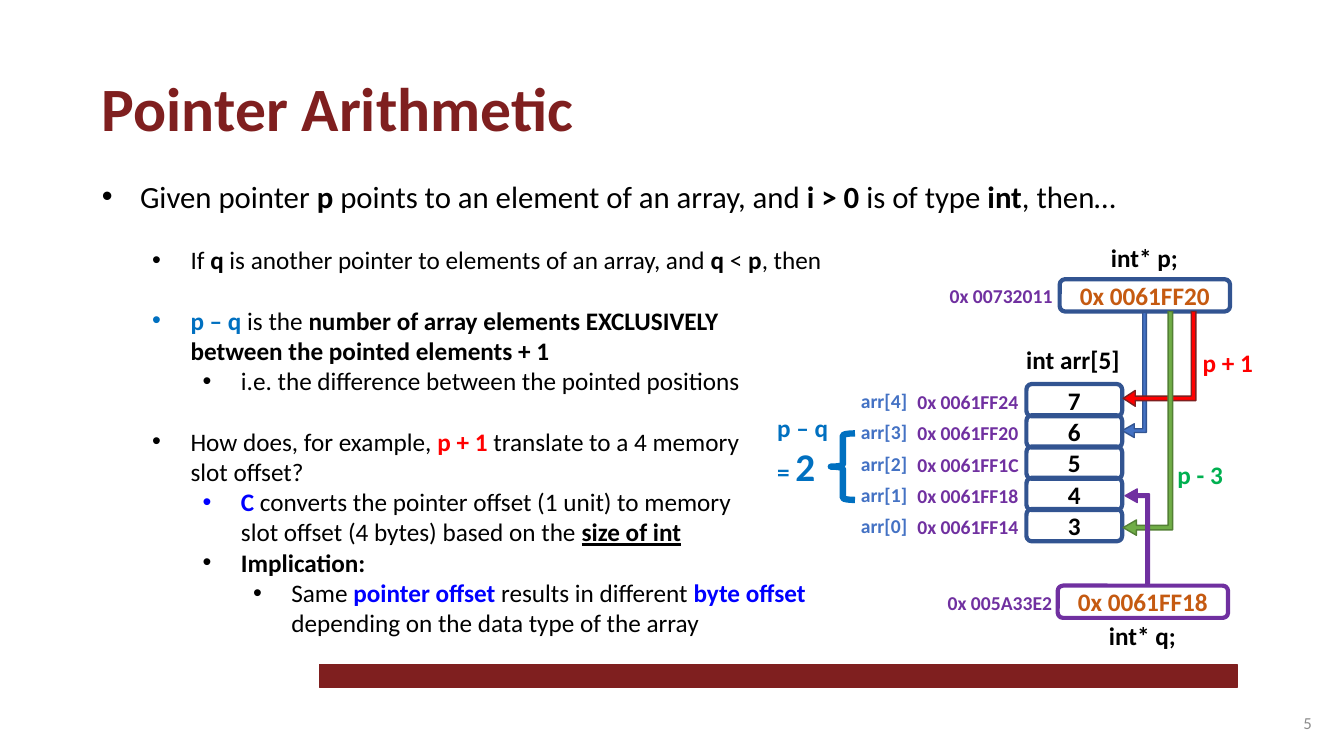
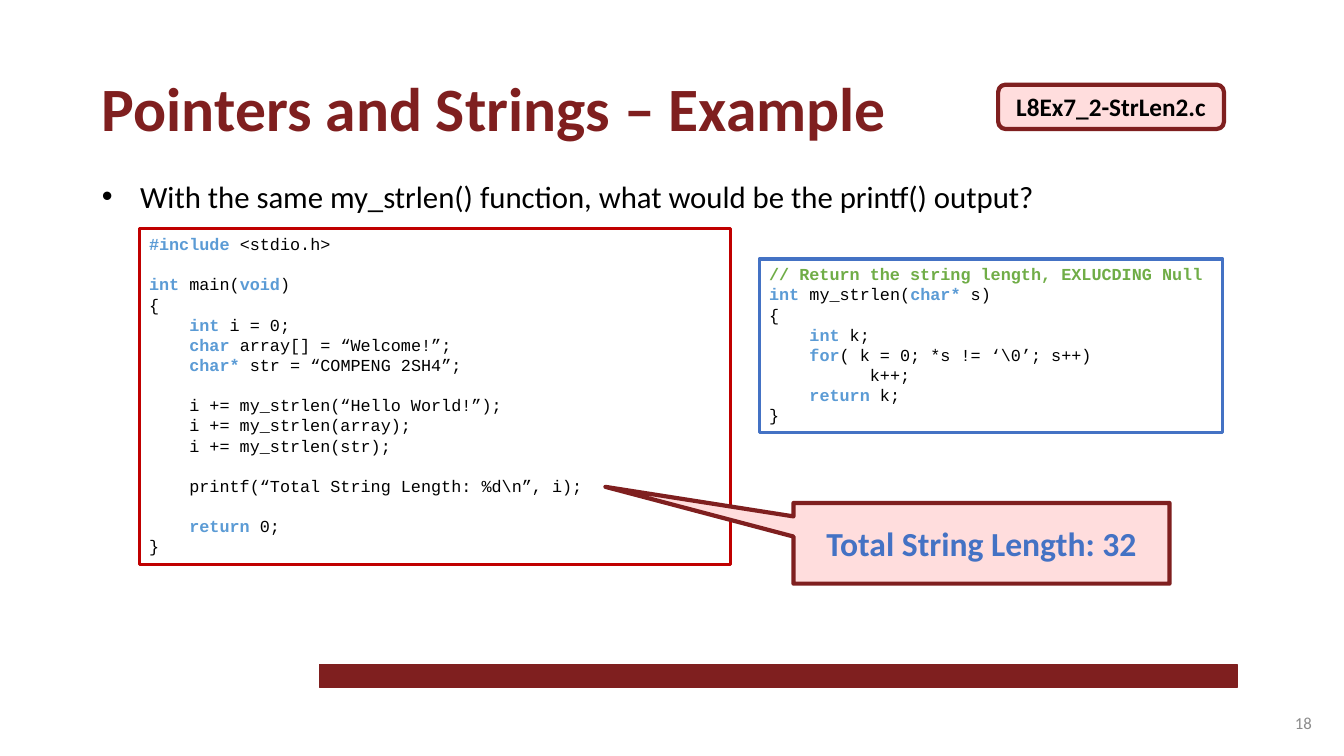
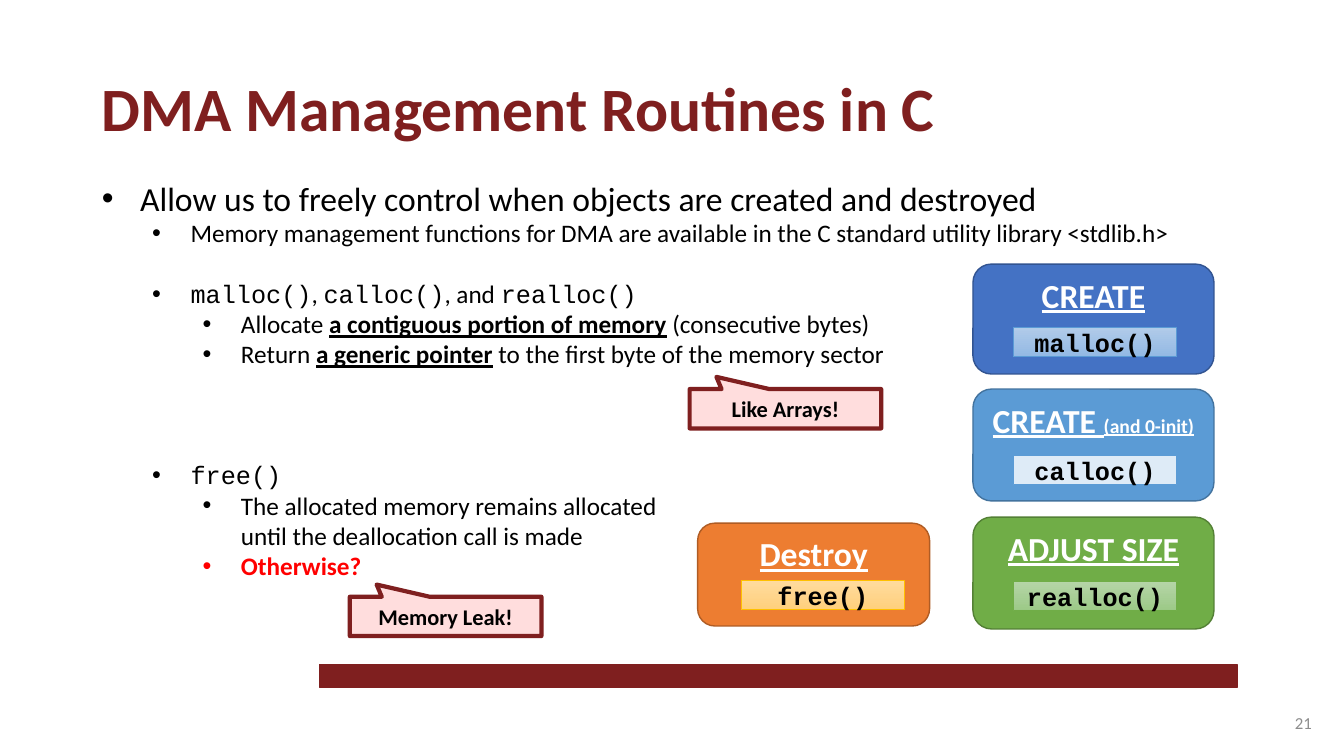
"""Builds three slides of a C lecture on pointers, strings and memory."""
import copy

import pptx
import pptx.dml.color
import pptx.enum.shapes
import pptx.enum.text
import pptx.oxml
import pptx.oxml.ns
import pptx.util

Inches = pptx.util.Inches
Pt = pptx.util.Pt
KIND = pptx.enum.shapes.MSO_SHAPE
ALIGN = pptx.enum.text.PP_ALIGN
ANCHOR = pptx.enum.text.MSO_ANCHOR

HUES = {
    "ink": "000000", "white": "FFFFFF", "wine": "7F1F1F", "blush": "FFDDDD",
    "grey": "8C8C8C", "red": "FF0000", "crimson": "C00000", "pure": "0000FF",
    "azure": "0070C0", "blue": "4472C4", "navy": "325491", "sky": "5B9BD5",
    "steel": "43739E", "ice": "DEEBF7", "green": "70AD47", "forest": "538035",
    "leaf": "00B050", "purple": "7030A0", "rust": "C55A11", "orange": "ED7D31",
    "brown": "AF5C24", "gold": "FFC000", "sky top": "B1CBE9", "sky end": "93B9E4",
    "green top": "B5D5A7", "green end": "9CC987", "gold top": "FFDB9E", "gold end": "FFD07C",
}
SANS, MONO = "Calibri", "Courier New"
BOLD = {"bold": True}
UNDER = {"bold": True, "line": True}
CODE = {"face": MONO}
KEY = {"bold": True, "hue": "sky"}
PURE = {"bold": True, "hue": "pure"}
ROW = 21.6
CODE_ROW = 14.4


def tint(name):
    return pptx.dml.color.RGBColor.from_string(HUES[name])


def write(para, parts, **base):
    for part in parts:
        text, mods = (part, {}) if isinstance(part, str) else part
        style = {"size": 18, "hue": "ink", "bold": False, "face": SANS, "line": False} | base | mods
        for count, piece in enumerate(text.split("\n")):
            if count:
                para.add_line_break()
                para._p[-1].append(copy.deepcopy(run._r.rPr))
            if piece:
                run = para.add_run()
                run.text = piece
                font = run.font
                font.name, font.size = style["face"], Pt(style["size"])
                font.bold, font.underline = style["bold"], style["line"]
                font.color.rgb = tint(style["hue"])


def indent(para, left, hang=0):
    props = para._p.get_or_add_pPr()
    props.set("marL", str(Inches(left)))
    props.set("indent", str(Inches(-hang)))
    return props


def setup(shape, anchor):
    frame = shape.text_frame
    frame.word_wrap = True
    frame.auto_size = pptx.enum.text.MSO_AUTO_SIZE.NONE
    frame.vertical_anchor = anchor
    return frame


def move(shape, box):
    shape.left, shape.top, shape.width, shape.height = map(Inches, box)


def draw(slide, kind, box, fill=None, edge="wine", width=1, adjust=()):
    shape = slide.shapes.add_shape(kind, *map(Inches, box))
    shape.shadow.inherit = False
    if fill is None:
        shape.fill.background()
    elif isinstance(fill, tuple):
        shape.fill.gradient()
        shape.fill.gradient_angle = 270
        for stop, name in zip(shape.fill.gradient_stops, fill):
            stop.color.rgb = tint(name)
    else:
        shape.fill.solid()
        shape.fill.fore_color.rgb = tint(fill)
    shape.line.color.rgb = tint(edge)
    shape.line.width = Pt(width)
    for index, value in enumerate(adjust):
        shape.adjustments[index] = value
    return shape


def fill_in(shape, parts, anchor=ANCHOR.MIDDLE, **style):
    para = setup(shape, anchor).paragraphs[0]
    para.alignment = ALIGN.CENTER
    write(para, parts, **({"bold": True} | style))


def label(slide, box, *lines, anchor=ANCHOR.TOP, align=ALIGN.LEFT, **style):
    frame = setup(slide.shapes.add_textbox(*map(Inches, box)), anchor)
    for index, parts in enumerate(lines):
        para = frame.add_paragraph() if index else frame.paragraphs[0]
        para.alignment = align
        write(para, parts, **({"bold": True} | style))


def start(deck, title, number, items, head=22):
    """Adds a slide with title, list of (level, gap, parts), band and number."""
    slide = deck.slides.add_slide(deck.slide_layouts[1])
    name, body = slide.placeholders
    move(name, (0.91, 0.64, 10.9, 0.84))
    para = setup(name, ANCHOR.TOP).paragraphs[0]
    para.alignment = ALIGN.LEFT
    write(para, [title], size=44, hue="wine", bold=True)
    move(body, (0.91, 1.71, 11.4, 4.71))
    frame = setup(body, ANCHOR.TOP)
    for index, (level, gap, parts) in enumerate(items):
        para = frame.add_paragraph() if index else frame.paragraphs[0]
        para.level = level
        para.space_before = Pt(gap)
        props = indent(para, 0.38 + 0.5 * level, 0.38)
        for tag, key, value in (("buFont", "typeface", "Arial"), ("buChar", "char", "•")):
            mark = pptx.oxml.parse_xml(f'<a:{tag} {pptx.oxml.ns.nsdecls("a")}/>')
            mark.set(key, value)
            props.append(mark)
        write(para, parts, size=18 if level else head)
    draw(slide, KIND.RECTANGLE, (3.17, 6.59, 9.1, 0.23), "wine")
    label(slide, (10.11, 6.97, 3, 0.4), [number], anchor=ANCHOR.MIDDLE,
          align=ALIGN.RIGHT, size=12, hue="grey", bold=False)
    return slide


def array(slide, left, top):
    """Draws the cells of the array with their names and addresses."""
    label(slide, (left - 0.1, top - 0.44, 1.5, 0.4), ["int arr[5]"])
    for index, (value, end) in enumerate(zip("76543", ("24", "20", "1C", "18", "14"))):
        y = top + 0.31 * index
        cell = draw(slide, KIND.ROUNDED_RECTANGLE, (left, y, 0.95, 0.32), None, "navy", 3)
        fill_in(cell, [value])
        label(slide, (left - 1.18, y + 0.01, 1.3, 0.34), ["0x 0061FF" + end], size=14, hue="purple")
        label(slide, (left - 1.74, y, 0.8, 0.34), [f"arr[{4 - index}]"], size=14, hue="blue")


def pointer(slide, left, top, name, value, place, edge, shift):
    """Draws a pointer variable, its address at the left and its name."""
    cell = draw(slide, KIND.ROUNDED_RECTANGLE, (left, top, 1.69, 0.32), None, edge, 3)
    fill_in(cell, [value], hue="rust")
    label(slide, (left - 1.19, top, 1.3, 0.34), [place], size=14, hue="purple")
    label(slide, (left + 0.41, top + shift, 1.5, 0.4), [name])


def hook(slide, box, fill, edge, adjust, flip=True):
    """Draws a bent arrow, turned to point left, in the box it covers."""
    left, top, wide, high = box
    turned = (left + (wide - high) / 2, top + (high - wide) / 2, high, wide)
    arrow = draw(slide, KIND.BENT_UP_ARROW, turned, fill, edge, 1, adjust)
    arrow.rotation = 270
    if flip:
        arrow.element.spPr.xfrm.set("flipH", "1")


def listing(slide, box, edge, lines):
    """Draws a framed code listing from (indent, gap, parts) lines."""
    frame = setup(draw(slide, KIND.RECTANGLE, box, "white", edge, 2.25), ANCHOR.TOP)
    for index, (depth, gap, parts) in enumerate(lines):
        para = frame.add_paragraph() if index else frame.paragraphs[0]
        para.alignment = ALIGN.LEFT
        para.space_before = Pt(gap)
        indent(para, depth)
        write(para, parts, size=12, face=MONO)


def callout(slide, box, text, adjust, **style):
    """Draws a speech box with a pointed tail."""
    shape = draw(slide, KIND.RECTANGULAR_CALLOUT, box, "blush", "wine", 3, adjust)
    fill_in(shape, [text], **style)


def card(slide, box, fill, edge, head, call, inset, tag, rim):
    """Draws a rounded card with a heading and a function tag."""
    shape = draw(slide, KIND.ROUNDED_RECTANGLE, box, fill, edge)
    fill_in(shape, head, ANCHOR.TOP, size=24, hue="white", line=True)
    spot = (box[0] + inset[0], box[1] + inset[1], 1.62, 0.29)
    fill_in(draw(slide, KIND.RECTANGLE, spot, tag, rim, 0.5), [call], face=MONO)


def sums(deck):
    """Builds the slide on pointer arithmetic."""
    slide = start(deck, "Pointer Arithmetic", "5", [
        (0, 0, ["Given pointer ", ("p", BOLD), " points to an element of an array, and ",
                ("i > 0", BOLD), " is of type ", ("int", BOLD), ", then…"]),
        (1, ROW, ["If ", ("q", BOLD), " is another pointer to elements of an array, and ",
                  ("q", BOLD), " < ", ("p", BOLD), ", then"]),
        (1, ROW, [("p – q", {"bold": True, "hue": "azure"}), " is the ",
                  ("number of array elements EXCLUSIVELY\nbetween the pointed elements + 1", BOLD)]),
        (2, 0, ["i.e. the difference between the pointed positions"]),
        (1, ROW, ["How does, for example, ", ("p + 1 ", {"bold": True, "hue": "red"}),
                  "translate to a 4 memory\nslot offset?"]),
        (2, 0, [("C", PURE), " converts the pointer offset (1 unit) to memory\n"
                "slot offset (4 bytes) based on the ", ("size of int", UNDER)]),
        (2, 0, [("Implication:", BOLD)]),
        (3, 0, ["Same ", ("pointer offset ", PURE), "results in different ",
                ("byte offset\n", PURE), "depending on the data type of the array"]),
    ])
    array(slide, 10.18, 3.81)
    pointer(slide, 10.51, 2.77, "int* p;", "0x 0061FF20", "0x 00732011", "navy", -0.41)
    thin = (0.15, 0.281, 0.5)
    hook(slide, (11.13, 3.1, 0.24, 1.24), "blue", "navy", thin)
    hook(slide, (11.14, 3.09, 0.72, 0.94), "red", "wine", (0.063, 0.108, 0.166))
    label(slide, (11.83, 3.4, 0.8, 0.4), ["p + 1"], hue="red")
    hook(slide, (11.14, 3.09, 0.49, 2.22), "green", "forest", (0.092, 0.155, 0.268))
    label(slide, (11.58, 4.51, 0.8, 0.4), ["p - 3"], hue="leaf")
    pointer(slide, 10.49, 5.81, "int* q;", "0x 0061FF18", "0x 005A33E2", "purple", 0.3)
    hook(slide, (11.16, 4.85, 0.24, 0.94), "purple", "purple", thin, False)
    draw(slide, KIND.LEFT_BRACE, (8.24, 4.3, 0.24, 0.66), None, "azure", 4.5)
    label(slide, (7.61, 4.04, 1.01, 0.88), ["p – q"], ["= ", ("2", {"size": 28})], hue="azure")


def strings(deck):
    """Builds the slide with the string length example."""
    slide = start(deck, "Pointers and Strings – Example", "18", [
        (0, 0, ["With the same my_strlen() function, what would be the printf() output?"]),
    ])
    listing(slide, (1.38, 2.27, 5.87, 3.33), "crimson", [
        (0, 0, [("#include ", KEY), "<stdio.h>"]),
        (0, CODE_ROW, [("int ", KEY), "main(", ("void", KEY), ")"]),
        (0, 0, ["{"]),
        (0.4, 0, [("int ", KEY), "i = 0;"]),
        (0.4, 0, [("char ", KEY), "array[] = “Welcome!”;"]),
        (0.4, 0, [("char*", KEY), " str = “COMPENG 2SH4”;"]),
        (0.4, CODE_ROW, ["i += my_strlen(“Hello World!”);"]),
        (0.4, 0, ["i += my_strlen(array);"]),
        (0.4, 0, ["i += my_strlen(str);"]),
        (0.4, CODE_ROW, ["printf(“Total String Length: %d\\n”, i);"]),
        (0.4, CODE_ROW, [("return", KEY), " 0;"]),
        (0, 0, ["}"]),
    ])
    listing(slide, (7.53, 2.57, 4.6, 1.72), "blue", [
        (0, 0, [("// Return the string length, EXLUCDING Null", {"bold": True, "hue": "green"})]),
        (0, 0, [("int ", KEY), "my_strlen(", ("char* ", KEY), "s)"]),
        (0, 0, ["{"]),
        (0.4, 0, [("int", KEY), " k;"]),
        (0.4, 0, [("for", KEY), "( k = 0; *s != ‘\\0’; s++)"]),
        (1, 0, ["k++;"]),
        (0.4, 0, [("return", KEY), " k;"]),
        (0, 0, ["}"]),
    ])
    callout(slide, (7.87, 4.99, 3.73, 0.8), "Total String Length: 32", (-1.0, -0.7),
            size=24, hue="blue")
    badge = draw(slide, KIND.ROUNDED_RECTANGLE, (9.9, 0.84, 2.24, 0.44), "blush", "wine", 3)
    fill_in(badge, ["L8Ex7_2-StrLen2.c"])


def memory(deck):
    """Builds the slide on the memory routines."""
    slide = start(deck, "DMA Management Routines in C", "21", [
        (0, 0, ["Allow us to freely control when objects are created and destroyed"]),
        (1, 0, ["Memory management functions for DMA are available in the C standard "
                "utility library <stdlib.h>"]),
        (1, ROW, [("malloc()", CODE), ", ", ("calloc()", CODE), ", and ", ("realloc()", CODE)]),
        (2, 0, ["Allocate ", ("a contiguous portion of memory", UNDER), " (consecutive bytes)"]),
        (2, 0, ["Return ", ("a generic pointer", UNDER), " to the first byte of the memory sector"]),
        (1, 3 * ROW, [("free()", CODE)]),
        (2, 0, ["The allocated memory remains allocated\nuntil the deallocation call is made"]),
        (2, 0, [("Otherwise?", {"bold": True, "hue": "red"})]),
    ], head=24)
    card(slide, (9.65, 2.62, 2.39, 1.09), "blue", "navy", ["CREATE"], "malloc()",
         (0.4, 0.63), ("sky top", "sky end"), "sky")
    card(slide, (9.65, 3.86, 2.39, 1.11), "sky", "steel",
         ["CREATE ", ("(and 0-init)", {"size": 14})], "calloc()", (0.4, 0.66), "ice", "sky")
    card(slide, (9.65, 5.13, 2.39, 1.11), "green", "forest", ["ADJUST SIZE"], "realloc()",
         (0.4, 0.64), ("green top", "green end"), "green")
    card(slide, (6.92, 5.19, 2.3, 1.02), "orange", "brown", ["Destroy"], "free()",
         (0.43, 0.57), ("gold top", "gold end"), "gold")
    for left, top, text in ((6.84, 3.86, "Like Arrays!"), (3.47, 5.92, "Memory Leak!")):
        callout(slide, (left, top, 1.9, 0.39), text, (-0.36, -0.81), size=16)


def main():
    deck = pptx.Presentation()
    deck.slide_width, deck.slide_height = Inches(13.33), Inches(7.5)
    for build in (sums, strings, memory):
        build(deck)
    deck.save("out.pptx")


if __name__ == "__main__":
    main()
